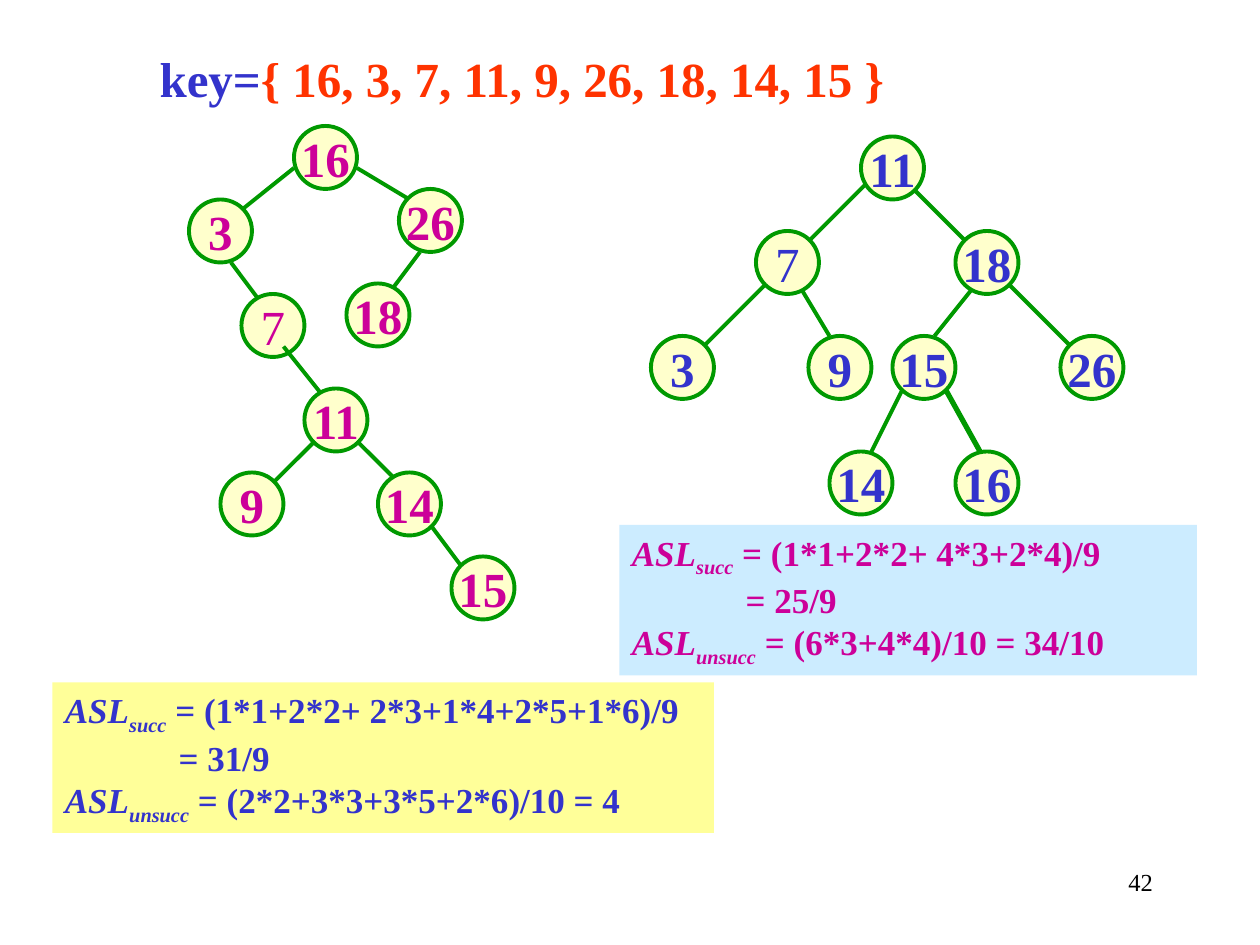
from dataclasses import dataclass
from typing import Optional

from lxml import etree
from pptx import Presentation
from pptx.dml.color import RGBColor
from pptx.enum.shapes import MSO_CONNECTOR, MSO_SHAPE
from pptx.enum.text import MSO_ANCHOR, MSO_AUTO_SIZE, PP_ALIGN
from pptx.oxml.ns import qn
from pptx.util import Pt

STRAIGHT, OVAL = MSO_CONNECTOR.STRAIGHT, MSO_SHAPE.OVAL
TOP, MIDDLE = MSO_ANCHOR.TOP, MSO_ANCHOR.MIDDLE
LEFT, CENTER, RIGHT = PP_ALIGN.LEFT, PP_ALIGN.CENTER, PP_ALIGN.RIGHT
NO_FIT = MSO_AUTO_SIZE.NONE


@dataclass(frozen=True)
class Theme:
    font: str = "Times New Roman"
    blue: str = "3333CC"
    magenta: str = "CC0099"
    red: str = "FF3300"
    black: str = "000000"
    green: str = "009900"
    node_fill: str = "FFFFCC"
    yellow: str = "FFFF99"
    sky: str = "CCECFF"
    key_size: float = 28
    formula_size: float = 20
    number_size: float = 14
    line: float = 2.25
    node_size: float = 36
    result_indent: float = 65


@dataclass(frozen=True)
class Edge:
    """Line from the parent to its node."""
    x1: float
    y1: float
    x2: float
    y2: float
    width: float = 2.25


@dataclass(frozen=True)
class Node:
    key: int
    left: float
    top: float
    edge: Optional[Edge] = None
    bold: bool = True


@dataclass(frozen=True)
class CostBox:
    box: tuple[float, float, float, float]
    fill: str
    color: str
    success: str
    result: str
    failure: str


T = Theme()

# Parents come first, so edges lie over them
INSERTION_TREE = [
    Node(16, 168, 72),
    Node(3, 108, 114, Edge(168, 96, 138, 120)),
    Node(7, 138, 168, Edge(132, 150, 150, 174), bold=False),
    Node(11, 174, 222, Edge(162, 198, 186, 228)),
    Node(9, 126, 270, Edge(180, 252, 156, 276)),
    Node(14, 216, 270, Edge(204, 252, 228, 276)),
    Node(15, 258, 318, Edge(246, 300, 264, 324)),
    Node(26, 228, 108, Edge(204, 96, 234, 114)),
    Node(18, 198, 162, Edge(240, 144, 222, 168)),
]

# Children come first, so parents cover the edge ends
BALANCED_TREE = [
    Node(3, 372, 192, Edge(438, 162, 402, 198)),
    Node(9, 462, 192, Edge(456, 162, 474, 192)),
    Node(7, 432, 132, Edge(498, 102, 456, 144), bold=False),
    Node(14, 474, 258, Edge(516, 222, 492, 270)),
    Node(16, 546, 258, Edge(540, 222, 570, 276, width=3)),
    Node(15, 510, 192, Edge(558, 162, 534, 192)),
    Node(26, 606, 192, Edge(576, 162, 630, 216)),
    Node(18, 546, 132, Edge(522, 108, 558, 144)),
    Node(11, 492, 78),
]

COST_BOXES = [
    CostBox((30, 390, 378, 86), T.yellow, T.blue,
            " = (1*1+2*2+ 2*3+1*4+2*5+1*6)/9", "= 31/9",
            " = (2*2+3*3+3*5+2*6)/10 = 4"),
    CostBox((354, 300, 330, 86), T.sky, T.magenta,
            " = (1*1+2*2+ 4*3+2*4)/9", "= 25/9",
            " = (6*3+4*4)/10 = 34/10"),
]


def rgb(value: str) -> RGBColor:
    return RGBColor.from_string(value)


def add_run(p, text: str, size: float, color: str, **formats):
    r = p.add_run()
    r.text = text
    formats = {"name": T.font, "size": Pt(size), "bold": True, **formats}
    for name, value in formats.items():
        setattr(r.font, name, value)
    r.font.color.rgb = rgb(color)
    return r


def set_frame(tf, **formats) -> None:
    formats = {"word_wrap": True, "auto_size": NO_FIT,
               "vertical_anchor": TOP, **formats}
    for name, value in formats.items():
        setattr(tf, name, value)


def add_edge(s, edge: Edge) -> None:
    ends = (Pt(v) for v in (edge.x1, edge.y1, edge.x2, edge.y2))
    line = s.shapes.add_connector(STRAIGHT, *ends)
    line.line.color.rgb = rgb(T.green)
    line.line.width = Pt(edge.width)
    etree.SubElement(line._element.spPr, qn("a:effectLst"))


def add_node(s, node: Node, color: str) -> None:
    size = Pt(T.node_size)
    sp = s.shapes.add_shape(OVAL, Pt(node.left), Pt(node.top), size, size)
    sp.shadow.inherit = False
    sp.fill.solid()
    sp.fill.fore_color.rgb = rgb(T.node_fill)
    sp.line.color.rgb = rgb(T.green)
    sp.line.width = Pt(T.line)
    set_frame(sp.text_frame, word_wrap=False, vertical_anchor=MIDDLE)
    p = sp.text_frame.paragraphs[0]
    p.alignment = CENTER
    add_run(p, str(node.key), T.key_size, color, bold=node.bold)


def add_tree(s, nodes: list[Node], color: str) -> None:
    for node in nodes:
        if node.edge:
            add_edge(s, node.edge)
        add_node(s, node, color)


def add_formula(p, subscript: str, value: str, color: str) -> None:
    add_run(p, "ASL", T.formula_size, color, italic=True)
    r = add_run(p, subscript, T.formula_size, color, italic=True)
    r._r.get_or_add_rPr().set("baseline", "-25000")
    add_run(p, value, T.formula_size, color)


def add_cost_box(s, cost: CostBox) -> None:
    sp = s.shapes.add_textbox(*map(Pt, cost.box))
    sp.fill.solid()
    sp.fill.fore_color.rgb = rgb(cost.fill)
    tf = sp.text_frame
    set_frame(tf)
    add_formula(tf.paragraphs[0], "succ", cost.success, cost.color)
    p = tf.add_paragraph()
    p._p.get_or_add_pPr().set("marL", str(Pt(T.result_indent)))
    add_run(p, cost.result, T.formula_size, cost.color)
    add_formula(tf.add_paragraph(), "unsucc", cost.failure, cost.color)


def main() -> None:
    prs = Presentation()
    prs.slide_width, prs.slide_height = Pt(720), Pt(540)
    s = prs.slides.add_slide(prs.slide_layouts[5])

    # Key sequence as title
    title = s.shapes.title
    title.left, title.top, title.width, title.height = map(Pt, (84, 24, 444, 41))
    set_frame(title.text_frame)
    p = title.text_frame.paragraphs[0]
    p.alignment = LEFT
    add_run(p, "key=", T.key_size, T.blue)
    add_run(p, "{ 16, 3, 7, 11, 9, 26, 18, 14, 15 }", T.key_size, T.red)

    # Search trees
    add_tree(s, BALANCED_TREE, T.blue)
    add_tree(s, INSERTION_TREE, T.magenta)

    # Average search lengths
    for cost in COST_BOXES:
        add_cost_box(s, cost)

    # Slide number
    number = s.shapes.add_textbox(Pt(516), Pt(492), Pt(150), Pt(36))
    set_frame(number.text_frame)
    p = number.text_frame.paragraphs[0]
    p.alignment = RIGHT
    add_run(p, "42", T.number_size, T.black, bold=False)

    prs.save("out.pptx")


if __name__ == "__main__":
    main()
